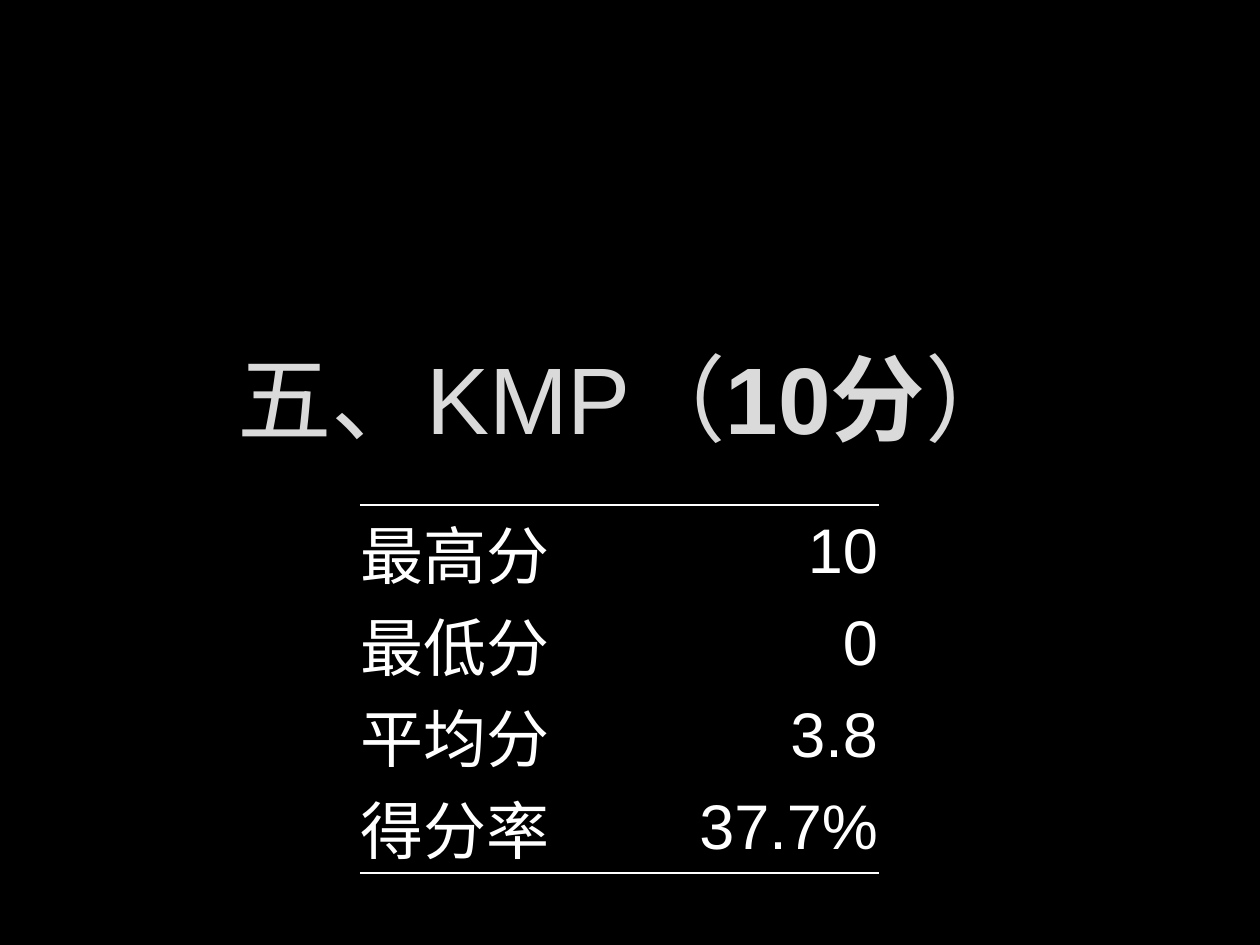
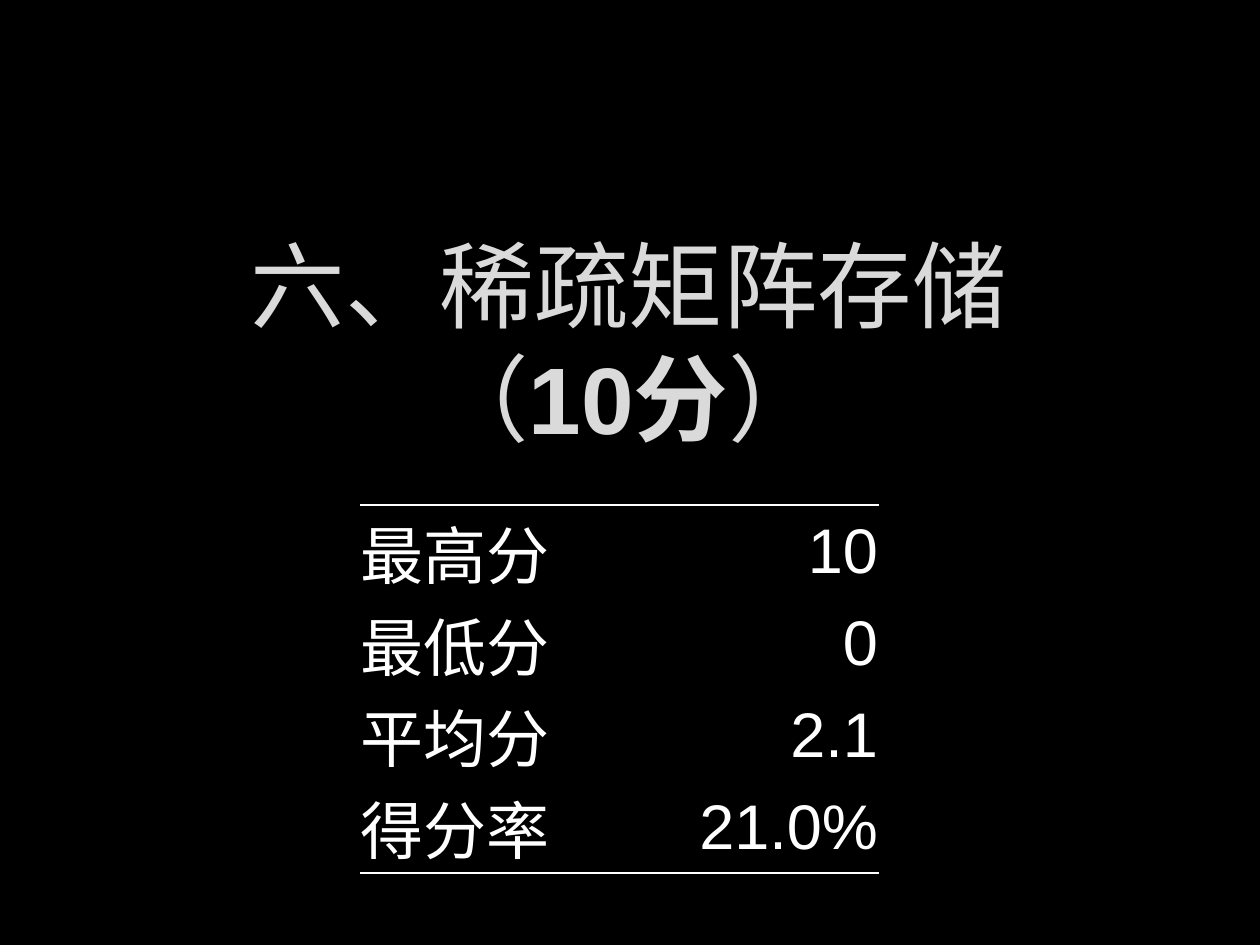
import dataclasses

import lxml.etree
import pptx
import pptx.dml.color
import pptx.enum.lang
import pptx.enum.text
import pptx.oxml.ns
import pptx.util

COLORS = {"background": "000000", "title": "DADADA", "table": "FFFFFF"}
FONT_NAME = "Arial"
PIXELS_PER_INCH = 126
TITLE_BOX = (141, 208, 975, 252)
TABLE_LEFT, TABLE_TOP = 360, 505
COLUMN_WIDTHS = (223, 296)
ROW_HEIGHT = 92
LABELS = ("最高分", "最低分", "平均分", "得分率")
ALIGN = pptx.enum.text.PP_ALIGN
ANCHOR = pptx.enum.text.MSO_ANCHOR


@dataclasses.dataclass(frozen=True)
class ScoreSlide:
    topic: str
    points: str
    values: tuple[str, ...]


SCORE_SLIDES = (
    ScoreSlide("五、KMP", "10分", ("10", "0", "3.8", "37.7%")),
    ScoreSlide("六、稀疏矩阵存储", "10分", ("10", "0", "2.1", "21.0%")),
)


def px(length: int) -> pptx.util.Emu:
    return pptx.util.Emu(round(length * 914400 / PIXELS_PER_INCH))


def rgb(name: str) -> pptx.dml.color.RGBColor:
    return pptx.dml.color.RGBColor.from_string(COLORS[name])


def add_text(paragraph, text: str, *, size: int, color: str, bold: bool = False,
             align=ALIGN.LEFT) -> None:
    paragraph.alignment = align
    run = paragraph.add_run()
    run.text = text
    run.font.name = FONT_NAME
    run.font.size = pptx.util.Pt(size)
    run.font.bold = bold
    run.font.color.rgb = rgb(color)
    run.font.language_id = pptx.enum.lang.MSO_LANGUAGE_ID.SIMPLIFIED_CHINESE


def set_borders(cell, visible_sides: str) -> None:
    """Draw the named sides (L, R, T, B) and hide the others."""
    qn = pptx.oxml.ns.qn
    properties = cell._tc.get_or_add_tcPr()
    for side in "LRTB":
        line = lxml.etree.SubElement(properties, qn(f"a:ln{side}"), w=str(pptx.util.Pt(1)))
        if side in visible_sides:
            fill = lxml.etree.SubElement(line, qn("a:solidFill"))
            lxml.etree.SubElement(fill, qn("a:srgbClr"), val=COLORS["table"])
        else:
            lxml.etree.SubElement(line, qn("a:noFill"))


def add_title(slide, score: ScoreSlide) -> None:
    frame = slide.shapes.add_textbox(*map(px, TITLE_BOX)).text_frame
    frame.word_wrap = True
    frame.vertical_anchor = ANCHOR.BOTTOM
    for text, bold in ((f"{score.topic}（", False), (score.points, True), ("）", False)):
        add_text(frame.paragraphs[0], text, size=54, color="title", bold=bold,
                 align=ALIGN.CENTER)


def add_score_table(slide, values: tuple[str, ...]) -> None:
    row_count = len(LABELS)
    table = slide.shapes.add_table(
        row_count, 2, px(TABLE_LEFT), px(TABLE_TOP),
        px(sum(COLUMN_WIDTHS)), px(ROW_HEIGHT * row_count)).table
    table.first_row = table.horz_banding = False
    for column, width in zip(table.columns, COLUMN_WIDTHS):
        column.width = px(width)
    for index, row_texts in enumerate(zip(LABELS, values)):
        table.rows[index].height = px(ROW_HEIGHT)
        # Rules only above the first row and below the last
        sides = {0: "T", row_count - 1: "B"}.get(index, "")
        for cell, text, align in zip(table.rows[index].cells, row_texts,
                                     (ALIGN.LEFT, ALIGN.RIGHT)):
            cell.margin_left = cell.margin_right = cell.margin_top = px(1)
            cell.margin_bottom = 0
            cell.vertical_anchor = ANCHOR.MIDDLE
            set_borders(cell, sides)
            cell.fill.background()
            add_text(cell.text_frame.paragraphs[0], text, size=36, color="table",
                     align=align)


def main() -> None:
    presentation = pptx.Presentation()
    presentation.slide_width, presentation.slide_height = px(1260), px(945)
    for score in SCORE_SLIDES:
        slide = presentation.slides.add_slide(presentation.slide_layouts[6])
        slide.background.fill.solid()
        slide.background.fill.fore_color.rgb = rgb("background")
        add_title(slide, score)
        add_score_table(slide, score.values)
    presentation.save("out.pptx")


if __name__ == "__main__":
    main()
